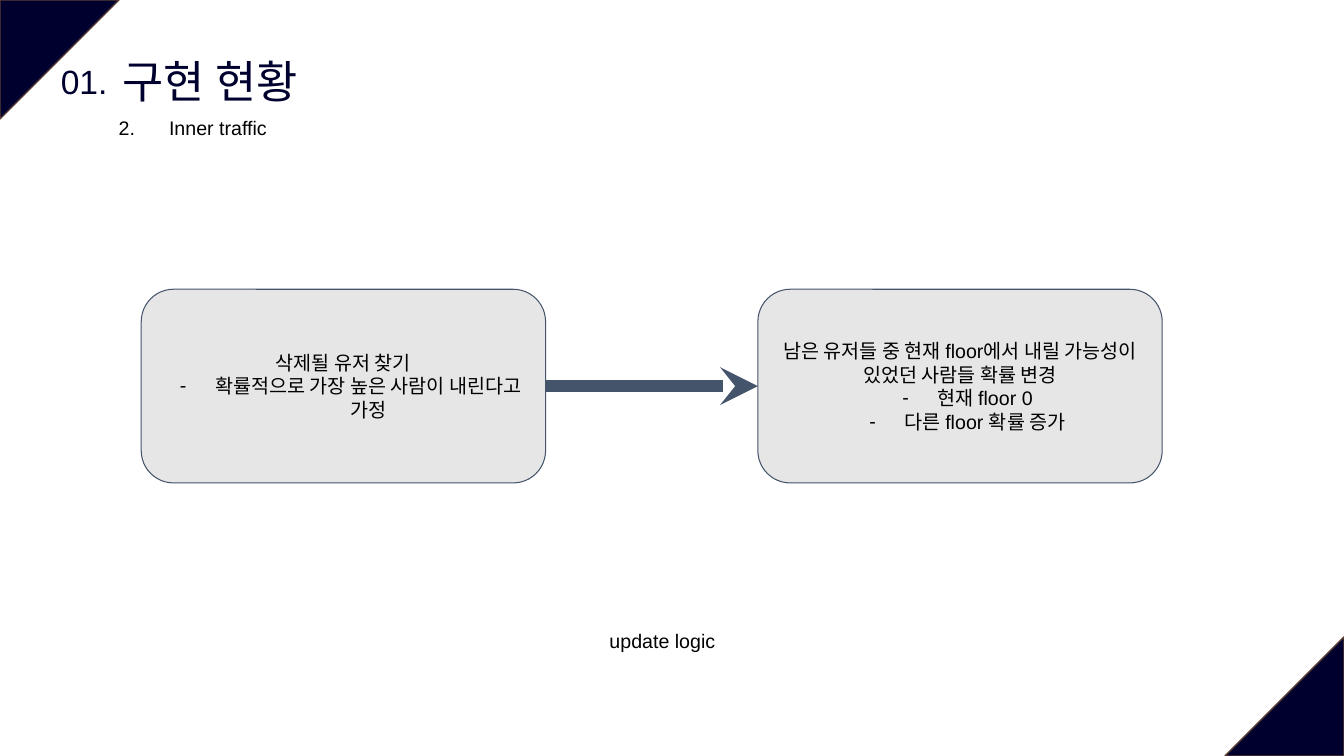
from lxml import etree
from pptx import Presentation
from pptx.dml.color import RGBColor
from pptx.enum.shapes import MSO_CONNECTOR, MSO_SHAPE
from pptx.enum.text import MSO_ANCHOR, PP_ALIGN
from pptx.oxml.ns import qn
from pptx.util import Cm, Pt

TRIANGLE = MSO_SHAPE.ISOSCELES_TRIANGLE
ROUNDED = MSO_SHAPE.ROUNDED_RECTANGLE
STRAIGHT = MSO_CONNECTOR.STRAIGHT
LEFT, CENTER = PP_ALIGN.LEFT, PP_ALIGN.CENTER
MIDDLE = MSO_ANCHOR.MIDDLE

COLORS = {
    "navy": "00002F",
    "corner_edge": "5B3F33",
    "step_fill": "E7E6E6",
    "slate": "44546A",
    "black": "000000",
}
FONT = "Arial"
BODY_SIZE = 14

LABELS = [
    ("구현 현황", (2.84, 1.22, 21.59, 1.63), 32, "navy", LEFT, 0.13),
    ("01.", (1.27, 1.4, 1.7, 1.27), 24, "navy", CENTER, 0.13),
    ("2.\tInner traffic", (2.74, 2.67, 11.81, 0.89), BODY_SIZE, "black", LEFT, 0.25),
    ("update logic", (15.11, 15.6, 3.63, 1.07), BODY_SIZE, "black", LEFT, 0.25),
]
STEPS = [
    ("삭제될 유저 찾기", ["확률적으로 가장 높은 사람이 내린다고 가정"]),
    (
        "남은 유저들 중 현재 floor에서 내릴 가능성이 있었던 사람들 확률 변경",
        ["현재 floor 0", "다른 floor 확률 증가"],
    ),
]

SLIDE_WIDTH, SLIDE_HEIGHT = 33.87, 19.05
CORNER = 3.0
STEP_LEFT, STEP_TOP, STEP_WIDTH, STEP_HEIGHT = 3.56, 7.29, 10.19, 4.88
STEP_GAP = 5.35
SIDE_INSET = 0.25


def rgb(name):
    return RGBColor.from_string(COLORS[name])


def add_panel(kind, box, fill, edge, edge_width, adjustment):
    panel = slide.shapes.add_shape(kind, *map(Cm, box))
    panel.shadow.inherit = False
    panel.adjustments[0] = adjustment
    panel.fill.solid()
    panel.fill.fore_color.rgb = rgb(fill)
    panel.line.color.rgb = rgb(edge)
    panel.line.width = Pt(edge_width)
    return panel


def write(frame, lines, size, color, align, inset):
    frame.word_wrap = True
    frame.margin_left = frame.margin_right = Cm(SIDE_INSET)
    frame.margin_top = frame.margin_bottom = Cm(inset)
    frame.text = "\n".join(lines)
    for paragraph in frame.paragraphs:
        paragraph.alignment = align
        for run in paragraph.runs:
            run.font.name = FONT
            run.font.size = Pt(size)
            run.font.color.rgb = rgb(color)


def add_dash(paragraph):
    properties = paragraph._p.get_or_add_pPr()
    properties.set("marL", str(Cm(1.27)))
    properties.set("indent", str(-Cm(0.89)))
    bullet_color = etree.SubElement(properties, qn("a:buClr"))
    etree.SubElement(bullet_color, qn("a:srgbClr"), val=COLORS["black"])
    etree.SubElement(properties, qn("a:buFont"), typeface=FONT)
    etree.SubElement(properties, qn("a:buChar"), char="-")


presentation = Presentation()
presentation.slide_width = Cm(SLIDE_WIDTH)
presentation.slide_height = Cm(SLIDE_HEIGHT)
slide = presentation.slides.add_slide(presentation.slide_layouts[6])

for left, top, rotation in [
    (0, 0, 90),
    (SLIDE_WIDTH - CORNER, SLIDE_HEIGHT - CORNER, 270),
]:
    corner = add_panel(
        TRIANGLE, (left, top, CORNER, CORNER), "navy", "corner_edge", 1, 0
    )
    corner.rotation = rotation

for text, box, size, color, align, inset in LABELS:
    label = slide.shapes.add_textbox(*map(Cm, box))
    write(label.text_frame, [text], size, color, align, inset)

step_boxes = []
for index, (heading, details) in enumerate(STEPS):
    left = STEP_LEFT + index * (STEP_WIDTH + STEP_GAP)
    step = add_panel(
        ROUNDED, (left, STEP_TOP, STEP_WIDTH, STEP_HEIGHT),
        "step_fill", "slate", 0.75, 0.167,
    )
    frame = step.text_frame
    frame.vertical_anchor = MIDDLE
    write(frame, [heading, *details], BODY_SIZE, "black", CENTER, SIDE_INSET)
    for paragraph in frame.paragraphs[1:]:
        add_dash(paragraph)
    step_boxes.append(step)

for before, after in zip(step_boxes, step_boxes[1:]):
    arrow = slide.shapes.add_connector(STRAIGHT, 0, 0, 0, 0)
    arrow.begin_connect(before, 3)
    arrow.end_connect(after, 1)
    arrow.line.color.rgb = rgb("slate")
    arrow.line.width = Pt(9)
    etree.SubElement(arrow.line._get_or_add_ln(), qn("a:tailEnd"), type="stealth")
    etree.SubElement(arrow._element.spPr, qn("a:effectLst"))

presentation.save("out.pptx")
